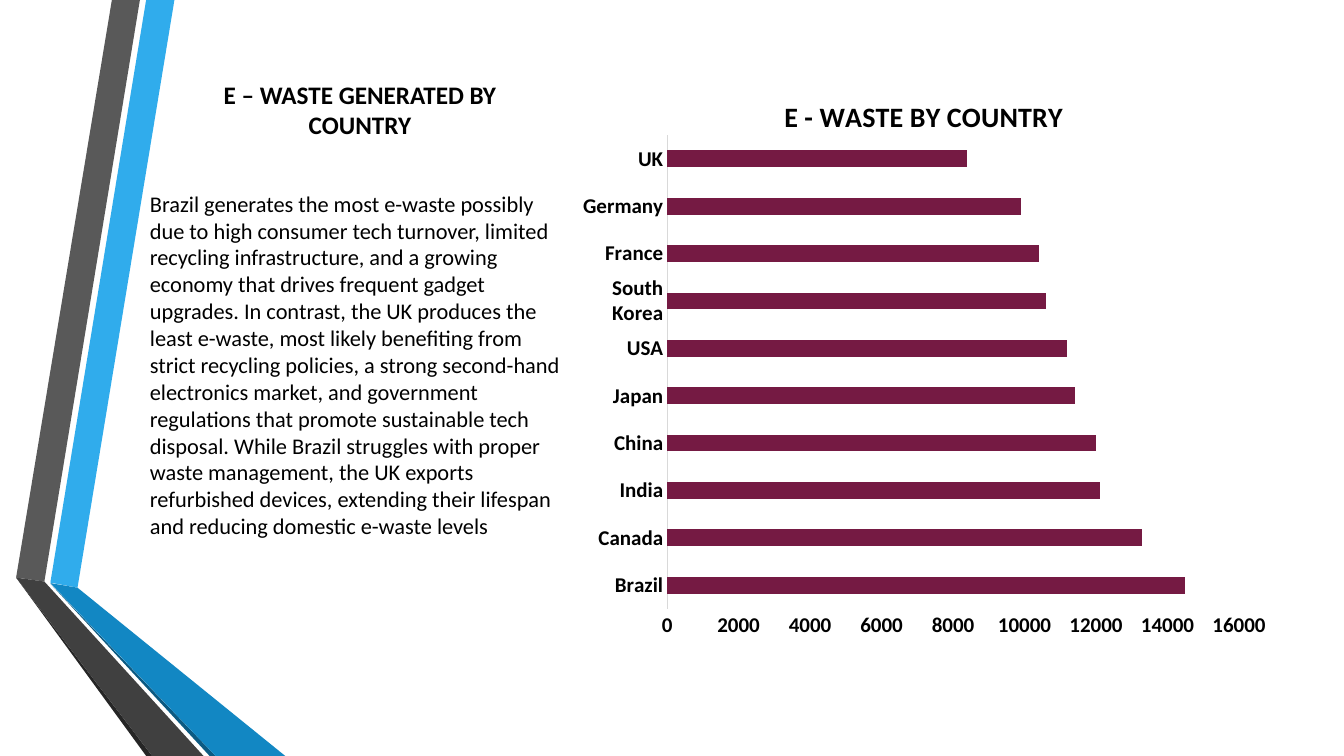
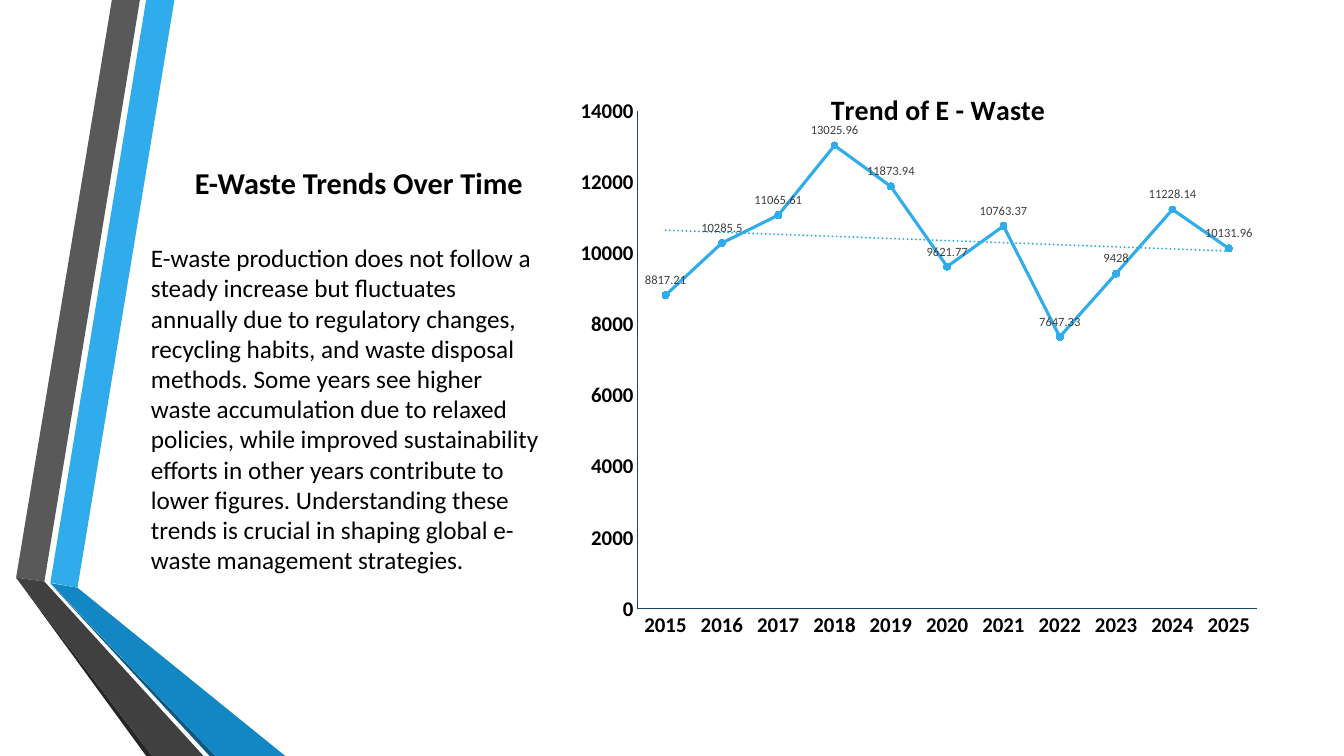
from dataclasses import dataclass

from pptx import Presentation
from pptx.chart.axis import _BaseAxis as Axis
from pptx.chart.chart import Chart
from pptx.chart.data import CategoryChartData
from pptx.dml.color import RGBColor
from pptx.enum.chart import XL_CHART_TYPE as ChartType
from pptx.enum.chart import XL_LABEL_POSITION as LabelPosition
from pptx.enum.chart import XL_MARKER_STYLE as MarkerStyle
from pptx.enum.chart import XL_TICK_MARK as TickMark
from pptx.enum.text import MSO_ANCHOR as Anchor
from pptx.enum.text import PP_ALIGN as Align
from pptx.oxml import parse_xml
from pptx.oxml.ns import nsdecls
from pptx.slide import Slide
from pptx.text.text import Font
from pptx.util import Pt

FONT = "Calibri"
BLACK, BLUE, PLUM = "000000", "30ACEC", "751A43"
AXIS_GREY, AXIS_BLUE, LABEL_GREY = "D9D9D9", "154B67", "404040"
CHART_BOX = (414.7, 54, 491, 401.8)


@dataclass(frozen=True)
class Band:
    color: str
    points: tuple[tuple[float, float], ...]


@dataclass(frozen=True)
class TextBlock:
    text: str
    box: tuple[float, float, float, float]
    size: float
    bold: bool = False
    align: Align = Align.LEFT
    anchor: Anchor = Anchor.MIDDLE
    space_before: float = 0
    space_after: float = 0


@dataclass(frozen=True)
class ChartPanel:
    kind: ChartType
    title: str
    title_place: tuple[float, float]
    plot_place: tuple[float, float, float, float]
    values: dict[str, float]
    maximum: int
    category_line: str
    value_line: str | None


@dataclass(frozen=True)
class Page:
    heading: TextBlock
    body: TextBlock
    panel: ChartPanel


BANDS = (
    Band(BLUE, ((36, 416.2), (55.4, 419.8), (124.6, 0), (104.4, 0))),
    Band("595959", ((99.9, 0), (79.9, 0), (11.5, 412.6), (31.7, 415.4))),
    Band("262626", ((11.5, 412.6), (104.4, 540), (108.7, 540))),
    Band("0C5A82", ((36, 416.9), (149.8, 540), (154.1, 540))),
    Band("1287C3", ((36, 416.5), (154.1, 540), (203.8, 540), (55.4, 419.8))),
    Band("404040", ((145.4, 540), (31.7, 415.4), (11.5, 412.6), (108.7, 540))),
)

PAGES = (
    Page(
        TextBlock(
            "E – WASTE GENERATED BY COUNTRY", (117.4, 52.6, 279.4, 50.5), 18,
            bold=True, align=Align.CENTER, anchor=Anchor.BOTTOM,
        ),
        TextBlock(
            "Brazil generates the most e-waste possibly due to high consumer tech "
            "turnover, limited recycling infrastructure, and a growing economy that "
            "drives frequent gadget upgrades. In contrast, the UK produces the least "
            "e-waste, most likely benefiting from strict recycling policies, a strong "
            "second-hand electronics market, and government regulations that promote "
            "sustainable tech disposal. While Brazil struggles with proper waste "
            "management, the UK exports refurbished devices, extending their lifespan "
            "and reducing domestic e-waste levels",
            (100, 143, 314.6, 234.7), 16, space_before=3, space_after=6,
        ),
        ChartPanel(
            ChartType.BAR_CLUSTERED, "E - WASTE BY COUNTRY", (0.289, 0.028),
            (0.126, 0.106, 0.832, 0.843),
            {
                "Brazil": 14500, "Canada": 13300, "India": 12100, "China": 12000,
                "Japan": 11400, "USA": 11200, "South Korea": 10600,
                "France": 10400, "Germany": 9900, "UK": 8400,
            },
            16000, AXIS_GREY, None,
        ),
    ),
    Page(
        TextBlock(
            "E-Waste Trends Over Time", (116.6, 99.4, 279.4, 47.5), 21.6,
            bold=True, align=Align.CENTER, anchor=Anchor.BOTTOM,
        ),
        TextBlock(
            "E-waste production does not follow a steady increase but fluctuates "
            "annually due to regulatory changes, recycling habits, and waste disposal "
            "methods. Some years see higher waste accumulation due to relaxed policies, "
            "while improved sustainability efforts in other years contribute to lower "
            "figures. Understanding these trends is crucial in shaping global e-waste "
            "management strategies.",
            (100.8, 163, 295.2, 257.8), 18, space_before=3, space_after=6,
        ),
        ChartPanel(
            ChartType.LINE_MARKERS, "Trend of E - Waste", (0.352, 0.017),
            (0.076, 0.063, 0.908, 0.888),
            {
                "2015": 8817.21, "2016": 10285.5, "2017": 11065.61,
                "2018": 13025.96, "2019": 11873.94, "2020": 9621.77,
                "2021": 10763.37, "2022": 7647.33, "2023": 9428,
                "2024": 11228.14, "2025": 10131.96,
            },
            14000, AXIS_BLUE, AXIS_BLUE,
        ),
    ),
)


def rgb(color: str) -> RGBColor:
    """Turn a hex string into a colour."""
    return RGBColor.from_string(color)


def style_font(font: Font, size: float, color: str = BLACK, bold: bool = False) -> None:
    """Apply the shared typeface with a size, colour and weight."""
    font.name, font.size, font.bold = FONT, Pt(size), bold
    font.color.rgb = rgb(color)


def draw_band(slide: Slide, band: Band) -> None:
    """Draw one filled polygon of the side ribbon."""
    start, *others = [(Pt(x), Pt(y)) for x, y in band.points]
    builder = slide.shapes.build_freeform(*start)
    builder.add_line_segments(others)
    shape = builder.convert_to_shape()
    shape.shadow.inherit = False
    shape.fill.solid()
    shape.fill.fore_color.rgb = rgb(band.color)
    shape.line.fill.background()


def draw_text(slide: Slide, block: TextBlock) -> None:
    """Draw one wrapped text block."""
    text_frame = slide.shapes.add_textbox(*map(Pt, block.box)).text_frame
    text_frame.word_wrap = True
    text_frame.vertical_anchor = block.anchor
    text_frame.text = block.text
    paragraph = text_frame.paragraphs[0]
    paragraph.alignment = block.align
    paragraph.space_before = Pt(block.space_before)
    paragraph.space_after = Pt(block.space_after)
    style_font(paragraph.runs[0].font, block.size, bold=block.bold)


def place(parent, index: int, inner: bool, fractions: tuple[float, ...]) -> None:
    """Give a chart part a manual layout in fractions of the chart."""
    for layout in parent.findall("{*}layout"):
        parent.remove(layout)
    target = '<c:layoutTarget val="inner"/>' if inner else ""
    modes = '<c:xMode val="edge"/><c:yMode val="edge"/>'
    sizes = "".join(f'<c:{name} val="{value}"/>' for name, value in zip("xywh", fractions))
    parent.insert(index, parse_xml(
        f'<c:layout {nsdecls("c")}><c:manualLayout>{target}{modes}{sizes}'
        "</c:manualLayout></c:layout>"
    ))


def style_axis(axis: Axis, line_color: str | None) -> None:
    """Style an axis without ticks or gridlines."""
    axis.has_major_gridlines = False
    axis.major_tick_mark = axis.minor_tick_mark = TickMark.NONE
    style_font(axis.tick_labels.font, 15, bold=True)
    if line_color is None:
        axis.format.line.fill.background()
    else:
        axis.format.line.color.rgb = rgb(line_color)
        axis.format.line.width = Pt(0.75)


def style_bars(chart: Chart) -> None:
    """Colour the bars and set their gap."""
    plot = chart.plots[0]
    plot.gap_width = 182
    fill = plot.series[0].format.fill
    fill.solid()
    fill.fore_color.rgb = rgb(PLUM)


def style_line(chart: Chart) -> None:
    """Style the line, its markers and labels, and add a linear trend."""
    series = chart.plots[0].series[0]
    series.smooth = False
    series.format.line.color.rgb = rgb(BLUE)
    series.format.line.width = Pt(2.25)
    marker = series.marker
    marker.style, marker.size = MarkerStyle.CIRCLE, 5
    marker.format.fill.solid()
    marker.format.fill.fore_color.rgb = rgb(BLUE)
    marker.format.line.color.rgb = rgb(BLUE)
    labels = series.data_labels
    labels.show_value = True
    labels.position = LabelPosition.ABOVE
    style_font(labels.font, 9, LABEL_GREY)
    series._element.find("{*}cat").addprevious(parse_xml(
        f'<c:trendline {nsdecls("c", "a")}><c:spPr><a:ln w="{Pt(1.5)}" cap="rnd">'
        f'<a:solidFill><a:srgbClr val="{BLUE}"/></a:solidFill>'
        '<a:prstDash val="sysDot"/></a:ln></c:spPr><c:trendlineType val="linear"/>'
        '<c:dispRSqr val="0"/><c:dispEq val="0"/></c:trendline>'
    ))


def draw_chart(slide: Slide, panel: ChartPanel) -> None:
    """Draw a chart with its title laid over the plot."""
    data = CategoryChartData()
    data.categories = list(panel.values)
    data.add_series("Series 1", list(panel.values.values()))
    chart = slide.shapes.add_chart(panel.kind, *map(Pt, CHART_BOX), data).chart
    chart.has_legend = False
    style_font(chart.font, 10)
    chart.plots[0].vary_by_categories = False

    text_frame = chart.chart_title.text_frame
    text_frame.text = panel.title
    style_font(text_frame.paragraphs[0].runs[0].font, 20, bold=True)
    title = chart.chart_title._element
    place(title, 1, False, panel.title_place)
    title.find("{*}overlay").set("val", "1")
    place(chart._chartSpace.chart.plotArea, 0, True, panel.plot_place)

    style_axis(chart.category_axis, panel.category_line)
    style_axis(chart.value_axis, panel.value_line)
    chart.value_axis.minimum_scale = 0
    chart.value_axis.maximum_scale = panel.maximum
    chart.value_axis.major_unit = 2000
    if panel.kind == ChartType.BAR_CLUSTERED:
        style_bars(chart)
    else:
        style_line(chart)


def main() -> None:
    """Build and save the presentation."""
    presentation = Presentation()
    presentation.slide_width, presentation.slide_height = Pt(960), Pt(540)
    for page in PAGES:
        slide = presentation.slides.add_slide(presentation.slide_layouts[6])
        for band in BANDS:
            draw_band(slide, band)
        draw_text(slide, page.heading)
        draw_text(slide, page.body)
        draw_chart(slide, page.panel)
    presentation.save("out.pptx")


if __name__ == "__main__":
    main()
